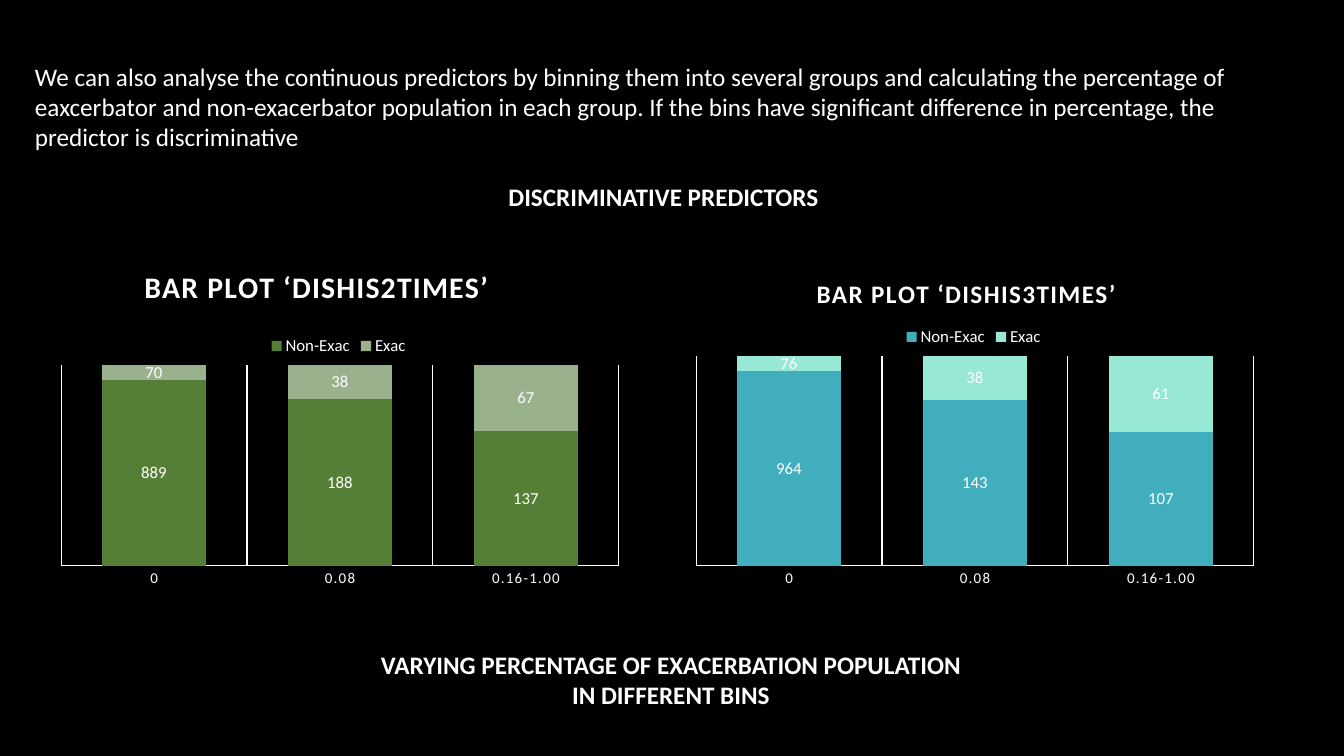
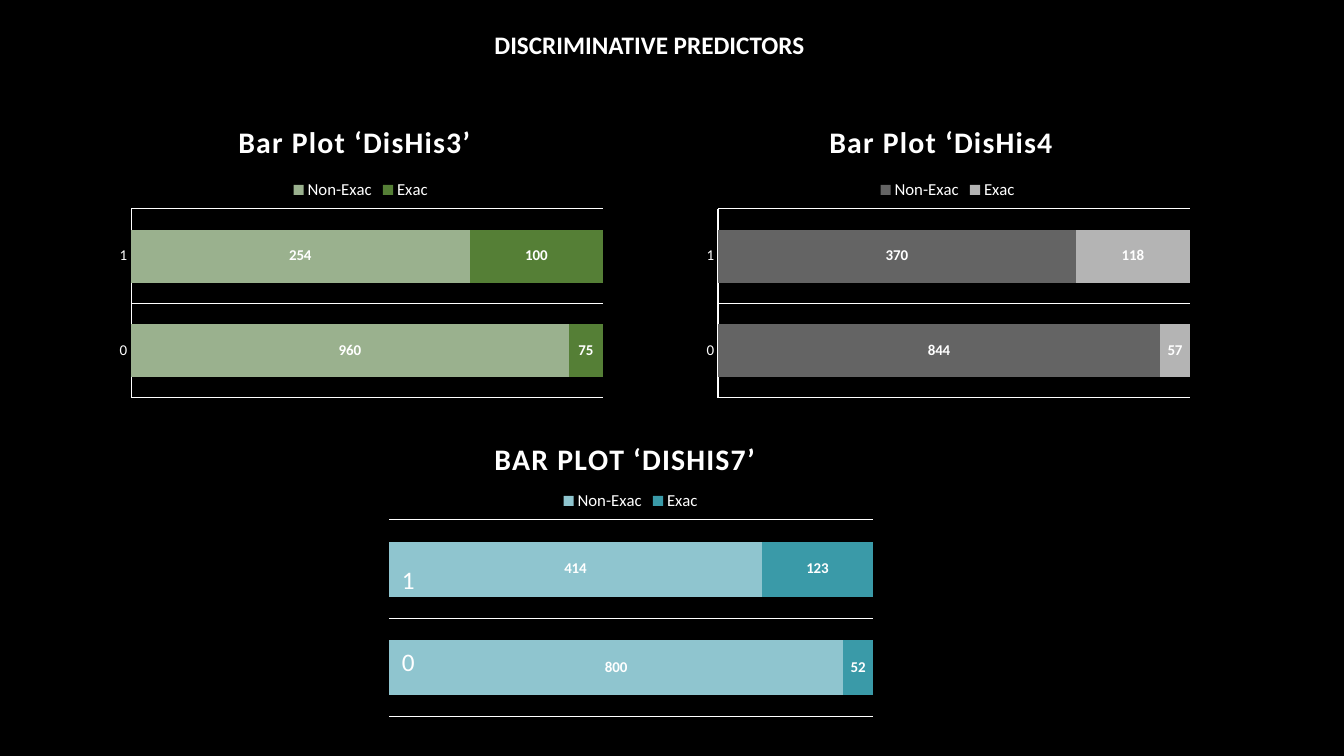
from pptx import Presentation
from pptx.chart.data import CategoryChartData
from pptx.dml.color import RGBColor
from pptx.enum.chart import XL_CHART_TYPE, XL_LABEL_POSITION, XL_LEGEND_POSITION, XL_TICK_MARK
from pptx.enum.text import MSO_ANCHOR, MSO_AUTO_SIZE, PP_ALIGN
from pptx.oxml import parse_xml
from pptx.oxml.ns import nsdecls, qn
from pptx.util import Emu, Pt

COLUMNS = XL_CHART_TYPE.COLUMN_STACKED_100
BARS = XL_CHART_TYPE.BAR_STACKED_100
LABEL_CENTER = XL_LABEL_POSITION.CENTER
LEGEND_TOP = XL_LEGEND_POSITION.TOP
NO_TICK = XL_TICK_MARK.NONE
TOP = MSO_ANCHOR.TOP
NO_FIT = MSO_AUTO_SIZE.NONE
LEFT, CENTER = PP_ALIGN.LEFT, PP_ALIGN.CENTER

BLACK = RGBColor(0x00, 0x00, 0x00)
WHITE = RGBColor(0xFF, 0xFF, 0xFF)
GREEN = RGBColor(0x55, 0x7F, 0x36)
SAGE = RGBColor(0x9A, 0xB1, 0x8E)
TEAL = RGBColor(0x41, 0xAE, 0xBD)
MINT = RGBColor(0x97, 0xE9, 0xD5)
DARK_GREY = RGBColor(0x64, 0x64, 0x64)
LIGHT_GREY = RGBColor(0xB4, 0xB4, 0xB4)
PALE_BLUE = RGBColor(0x8F, 0xC5, 0xCF)
DEEP_TEAL = RGBColor(0x3A, 0x9A, 0xA8)

FONT = "Calibri"
PX = 914400 / 100.8
BINS = ("0", "0.08", "0.16-1.00")
FLAGS = ("0", "1")


def px(length):
    """Turn a length in px into EMU."""
    return Emu(round(length * PX))


def style_font(font, size, bold=False):
    """Apply the shared typeface and colour."""
    font.name, font.size, font.bold = FONT, Pt(size), bold
    font.color.rgb = WHITE


def write(frame, text, size=18, bold=False, align=LEFT, wrap=True):
    """Fill a text frame with one paragraph per line of text."""
    frame.word_wrap = wrap
    frame.auto_size = NO_FIT
    frame.vertical_anchor = TOP
    for index, line in enumerate(text.split("\n")):
        paragraph = frame.add_paragraph() if index else frame.paragraphs[0]
        paragraph.alignment = align
        run = paragraph.add_run()
        run.text = line
        style_font(run.font, size, bold)


def place_part(part, order, frame_size, spot, inner=False):
    """Give a chart part a fixed spot, in px from the chart corner."""
    for old in part.findall(qn("c:layout")):
        part.remove(old)
    names = "xywh"[:len(spot)]
    target = '<c:layoutTarget val="inner"/>' if inner else ""
    modes = "".join(f'<c:{name}Mode val="edge"/>' for name in names if name in "xy")
    values = "".join(
        f'<c:{name} val="{length / frame_size[index % 2]:.4f}"/>'
        for index, (name, length) in enumerate(zip(names, spot)))
    part.insert(order, parse_xml(
        f'<c:layout {nsdecls("c")}><c:manualLayout>{target}{modes}{values}'
        '</c:manualLayout></c:layout>'))


class Deck:
    """Hold the shared style and the current slide."""

    def __init__(self):
        """Start a black widescreen presentation."""
        self.prs = Presentation()
        self.prs.slide_width, self.prs.slide_height = px(1344), px(756)
        fill = self.prs.slide_master.background.fill
        fill.solid()
        fill.fore_color.rgb = BLACK
        self.slide = None

    def new_slide(self, title, left, top):
        """Add a slide with its heading."""
        self.slide = self.prs.slides.add_slide(self.prs.slide_layouts[5])
        heading = self.slide.shapes.title
        heading.left, heading.top, heading.width, heading.height = map(px, (left, top, 397, 40))
        write(heading.text_frame, title, bold=True, align=CENTER)

    def text(self, text, left, top, width, height, **style):
        """Add a text box."""
        box = self.slide.shapes.add_textbox(*map(px, (left, top, width, height)))
        write(box.text_frame, text, **style)

    def bar_plot(self, kind, title, box, title_spot, plot_box, categories, non_exac, exac,
                 colors, title_size=21.28, label_size=10.64, label_bold=True, show_axis=True):
        """Add a stacked percentage chart of both populations."""
        data = CategoryChartData()
        data.categories = categories
        data.add_series("Non-Exac", non_exac)
        data.add_series("Exac", exac)
        chart = self.slide.shapes.add_chart(kind, *map(px, box), data).chart
        style_font(chart.font, 10)

        chart.has_title = True
        heading = chart.chart_title.text_frame.paragraphs[0].add_run()
        heading.text = title
        style_font(heading.font, title_size, True)
        chart.has_legend = True
        chart.legend.position = LEGEND_TOP
        chart.legend.include_in_layout = False
        style_font(chart.legend.font, 12)

        chart.value_axis.has_major_gridlines = False
        chart.value_axis.visible = False
        axis = chart.category_axis
        axis.visible = show_axis
        axis.major_tick_mark = axis.minor_tick_mark = NO_TICK
        axis.has_major_gridlines = True
        for line in (axis.format.line, axis.major_gridlines.format.line):
            line.color.rgb = WHITE
            line.width = Pt(0.75)
        style_font(axis.tick_labels.font, 10.64)
        spaced = "//c:title//a:rPr | //c:catAx//a:defRPr"
        for properties in chart.element.xpath(spaced):
            properties.set("spc", "100")

        plot = chart.plots[0]
        plot.gap_width, plot.overlap, plot.vary_by_categories = 79, 100, False
        for series, color in zip(plot.series, colors):
            series.format.fill.solid()
            series.format.fill.fore_color.rgb = color
            series.invert_if_negative = False
            labels = series.data_labels
            labels.show_value = True
            labels.position = LABEL_CENTER
            style_font(labels.font, label_size, label_bold)

        size = box[2:]
        legend_spot = ((size[0] - 146) // 2, plot_box[1] - 33)
        root = chart.element
        place_part(root.xpath("//c:chart/c:title")[0], 1, size, title_spot)
        place_part(root.xpath("//c:legend")[0], 1, size, legend_spot)
        place_part(root.xpath("//c:plotArea")[0], 0, size, plot_box, inner=True)


def binned_slide(deck):
    """Build the slide on binned continuous predictors."""
    deck.new_slide("DISCRIMINATIVE PREDICTORS", 465, 176)
    deck.text("We can also analyse the continuous predictors by binning them into several groups "
              "and calculating the percentage of eaxcerbator and non-exacerbator population in "
              "each group. If the bins have significant difference in percentage, the predictor "
              "is discriminative", 25, 56, 1292, 102)
    deck.text("VARYING PERCENTAGE OF EXACERBATION POPULATION\nIN DIFFERENT BINS",
              314, 644, 714, 72, bold=True, align=CENTER)
    labels = {"label_size": 12, "label_bold": False}
    deck.bar_plot(COLUMNS, "BAR PLOT ‘DISHIS2TIMES’", (49, 256, 581, 339), (90, 5),
                  (12, 109, 558, 201), BINS, (889, 188, 137), (70, 38, 67),
                  (GREEN, SAGE), **labels)
    deck.bar_plot(COLUMNS, "BAR PLOT ‘DISHIS3TIMES’", (684, 256, 581, 339), (128, 16),
                  (12, 100, 558, 210), BINS, (964, 143, 107), (76, 38, 61),
                  (TEAL, MINT), title_size=18, **labels)


def flag_slide(deck):
    """Build the slide on two-valued predictors."""
    deck.new_slide("DISCRIMINATIVE PREDICTORS", 451, 24)
    upper_plot = (22, 108, 472, 189)
    deck.bar_plot(BARS, "Bar Plot ‘DisHis3’", (109, 101, 504, 302), (124, 15),
                  upper_plot, FLAGS, (960, 254), (75, 100), (SAGE, GREEN))
    deck.bar_plot(BARS, "Bar Plot ‘DisHis4", (696, 101, 504, 302), (128, 15),
                  upper_plot, FLAGS, (844, 370), (57, 118), (DARK_GREY, LIGHT_GREY))
    deck.bar_plot(BARS, "BAR PLOT ‘DISHIS7’", (379, 421, 504, 302), (110, 12),
                  (10, 99, 484, 197), ("1", "2"), (800, 414), (52, 123),
                  (PALE_BLUE, DEEP_TEAL), show_axis=False)
    for flag, top in (("1", 559), ("0", 641)):
        deck.text(flag, 392, top, 21, 40, wrap=False)


def main():
    """Build and save the presentation."""
    deck = Deck()
    binned_slide(deck)
    flag_slide(deck)
    deck.prs.save("out.pptx")


if __name__ == "__main__":
    main()
